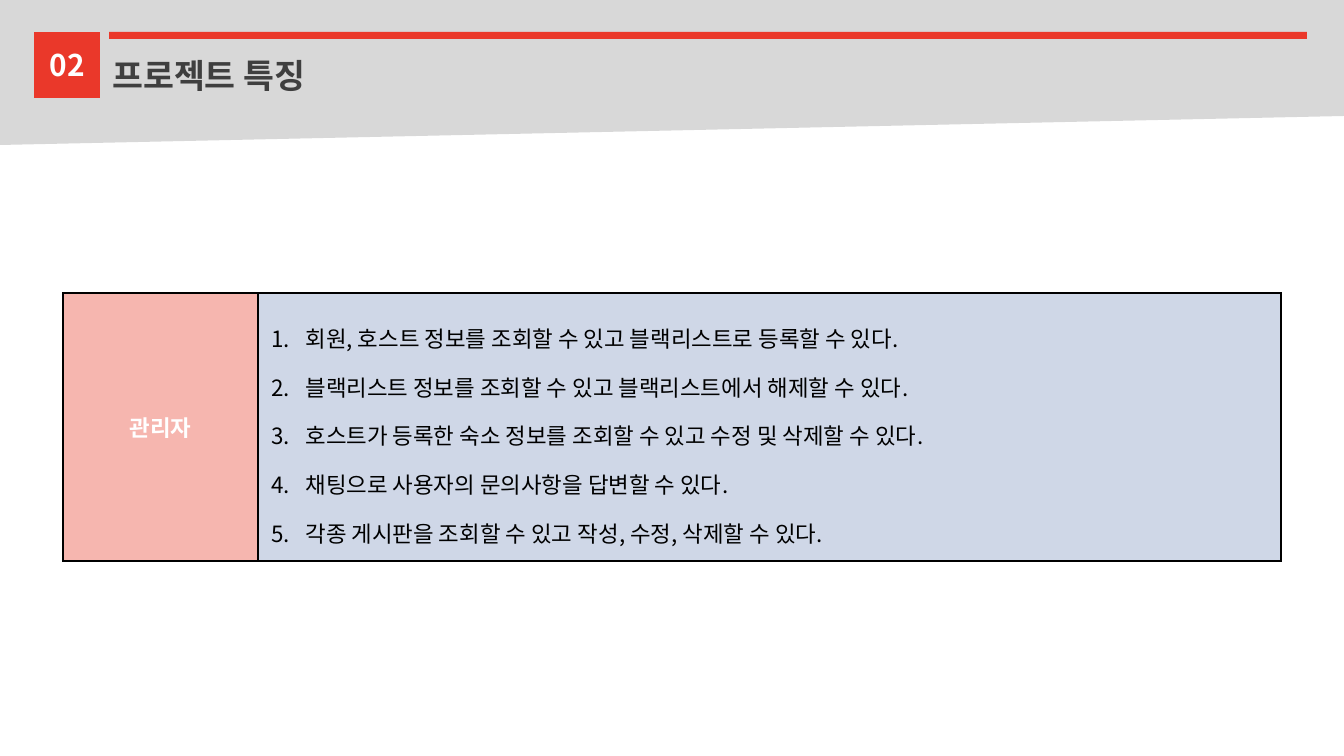
"""Build the project features slide with its header and administrator table."""
from lxml import etree
from pptx import Presentation
from pptx.dml.color import RGBColor
from pptx.enum import shapes, text
from pptx.oxml import ns
from pptx.util import Emu, Pt

TITLE = "프로젝트 특징"
NUMBER = "02"
ROLE = "관리자"
FEATURES = [
    "회원, 호스트 정보를 조회할 수 있고 블랙리스트로 등록할 수 있다.",
    "블랙리스트 정보를 조회할 수 있고 블랙리스트에서 해제할 수 있다.",
    "호스트가 등록한 숙소 정보를 조회할 수 있고 수정 및 삭제할 수 있다.",
    "채팅으로 사용자의 문의사항을 답변할 수 있다.",
    "각종 게시판을 조회할 수 있고 작성, 수정, 삭제할 수 있다.",
]
FONT = "Noto Sans CJK KR"
RED = RGBColor(0xEA, 0x38, 0x2A)
GRAY = RGBColor(0xD8, 0xD8, 0xD8)
DARK = RGBColor(0x3F, 0x3F, 0x3F)
PINK = RGBColor(0xF6, 0xB6, 0xAF)
BLUE = RGBColor(0xCF, 0xD7, 0xE7)
WHITE = RGBColor(0xFF, 0xFF, 0xFF)
BLACK = RGBColor(0, 0, 0)
WIDTH, HEIGHT = 1344, 756
COLUMNS = [195, 1023]
ROW_HEIGHT = 268
INDENT = 34


def px(*lengths):
    return [Emu(round(length * 914400 / 134.4)) for length in lengths]


def add_child(parent, tag, **attributes):
    child = etree.SubElement(parent, ns.qn(tag))
    for name, value in attributes.items():
        child.set(name, str(value))
    return child


def add_color(parent, color):
    add_child(add_child(parent, "a:solidFill"), "a:srgbClr", val=color)


def add_block(slide, box, color, preset=shapes.MSO_SHAPE.RECTANGLE, rotation=0):
    shape = slide.shapes.add_shape(preset, *px(*box))
    shape.shadow.inherit = False
    shape.fill.solid()
    shape.fill.fore_color.rgb = color
    shape.line.fill.background()
    shape.rotation = rotation


def write(frame, lines, size=12, color=BLACK, bold=False, align=text.PP_ALIGN.LEFT,
          numbered=False):
    frame.word_wrap = True
    for index, line in enumerate(lines):
        paragraph = frame.paragraphs[0] if index == 0 else frame.add_paragraph()
        paragraph.alignment = align
        if numbered:
            paragraph.line_spacing = 1.5
            properties = paragraph._p.get_or_add_pPr()
            indent = px(INDENT)[0]
            properties.set("marL", str(indent))
            properties.set("indent", str(-indent))
            add_child(add_child(properties, "a:buClr"), "a:srgbClr", val=color)
            add_child(properties, "a:buAutoNum", type="arabicPeriod")
        run = paragraph.add_run()
        run.text = line
        run.font.size = Pt(size)
        run.font.bold = bold
        run.font.color.rgb = color
        run.font.name = FONT
        add_child(run._r.get_or_add_rPr(), "a:ea", typeface=FONT)


def add_label(slide, box, line, **style):
    write(slide.shapes.add_textbox(*px(*box)).text_frame, [line], **style)


def format_cell(cell, color):
    cell.vertical_anchor = text.MSO_ANCHOR.MIDDLE
    properties = cell._tc.get_or_add_tcPr()
    for side in ("a:lnL", "a:lnR", "a:lnT", "a:lnB"):
        add_color(add_child(properties, side, w=Pt(1)), BLACK)
    cell.fill.solid()
    cell.fill.fore_color.rgb = color


def add_feature_table(slide):
    box = px(63, 293, sum(COLUMNS), ROW_HEIGHT)
    table = slide.shapes.add_table(1, len(COLUMNS), *box).table
    table.first_row = table.horz_banding = False
    for column, width in zip(table.columns, px(*COLUMNS)):
        column.width = width
    role, features = table.cell(0, 0), table.cell(0, 1)
    format_cell(role, PINK)
    format_cell(features, BLUE)
    write(role.text_frame, [ROLE], color=WHITE, bold=True, align=text.PP_ALIGN.CENTER)
    write(features.text_frame, FEATURES, numbered=True)


def main():
    presentation = Presentation()
    presentation.slide_width, presentation.slide_height = px(WIDTH, HEIGHT)
    slide = presentation.slides.add_slide(presentation.slide_layouts[6])
    add_block(slide, (0, 0, WIDTH, 145), GRAY,
              preset=shapes.MSO_SHAPE.FLOWCHART_MANUAL_INPUT, rotation=180)
    add_block(slide, (34, 32, 66, 66), RED)
    add_label(slide, (99, 48, 520, 54), TITLE, size=18, color=DARK, bold=True)
    add_block(slide, (109, 32, 1198, 7), RED)
    add_label(slide, (20, 40, 95, 50), NUMBER, size=16, color=WHITE, bold=True,
              align=text.PP_ALIGN.CENTER)
    add_feature_table(slide)
    presentation.save("out.pptx")


if __name__ == "__main__":
    main()
